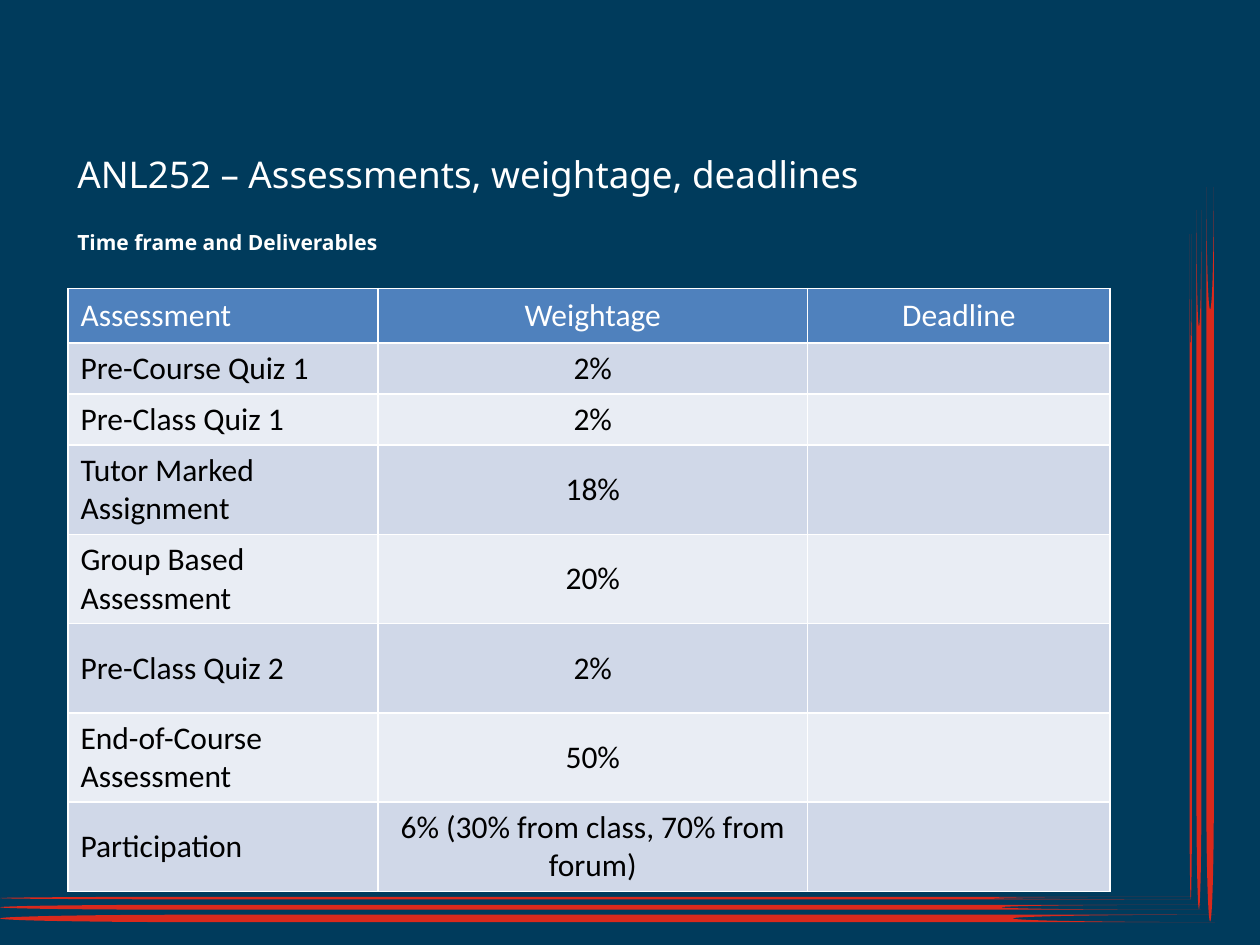
from dataclasses import dataclass

from lxml import etree
from pptx import Presentation
from pptx.dml.color import RGBColor
from pptx.enum.shapes import MSO_SHAPE
from pptx.enum.text import MSO_ANCHOR, PP_ALIGN
from pptx.oxml.ns import qn
from pptx.util import Cm, Pt

STRIPE = MSO_SHAPE.FLOWCHART_STORED_DATA
TOP, MIDDLE = MSO_ANCHOR.TOP, MSO_ANCHOR.MIDDLE
LEFT, CENTER = PP_ALIGN.LEFT, PP_ALIGN.CENTER

COLORS = {
    "navy": "003B5C", "red": "DA291C", "white": "FFFFFF", "black": "000000",
    "header": "4F81BD", "band_dark": "D0D8E8", "band_light": "E9EDF4",
}


@dataclass
class Stripe:
    left: float
    top: float
    length: float
    thickness: float
    rotation: int = 0


@dataclass
class Label:
    text: str
    top: float
    width: float
    height: float
    font: dict


STRIPES = [
    Stripe(0, 18.08, 24, 0.05),
    Stripe(0, 18.24, 24.21, 0.1),
    Stripe(0, 18.44, 24.49, 0.15),
    Stripe(17.3, 11.4, 13.41, 0.05, 270),
    Stripe(17.12, 11.23, 14.1, 0.1, 270),
    Stripe(16.99, 11.1, 14.81, 0.15, 270),
]
LABELS = [
    Label("ANL252 – Assessments, weightage, deadlines", 2.95, 17.25, 1.27,
          {"name": "Noto Sans", "size": Pt(21), "bold": False}),
    Label("Time frame and Deliverables", 4.52, 15.72, 0.64,
          {"name": "Noto Sans", "size": Pt(12), "bold": True}),
]
CONTENT_LEFT = 1.37
TABLE_TOP = 5.82
COL_WIDTHS = [6.25, 8.66, 6.1]
ROW_HEIGHTS = [1.09] + [1.03] * 2 + [1.8] * 5
ROWS = [
    ("Assessment", "Weightage", "Deadline"),
    ("Pre-Course Quiz 1", "2%", ""),
    ("Pre-Class Quiz 1", "2%", ""),
    ("Tutor Marked Assignment", "18%", ""),
    ("Group Based Assessment", "20%", ""),
    ("Pre-Class Quiz 2", "2%", ""),
    ("End-of-Course Assessment", "50%", ""),
    ("Participation", "6% (30% from class, 70% from forum)", ""),
]
CELL_FONT = {"name": "Calibri", "size": Pt(18), "bold": False}


def rgb(name: str) -> RGBColor:
    return RGBColor.from_string(COLORS[name])


def write(p, text: str, font: dict, color: str, align=LEFT) -> None:
    p.alignment = align
    r = p.add_run()
    r.text = text
    for key, value in font.items():
        setattr(r.font, key, value)
    r.font.color.rgb = rgb(color)


def draw_stripe(s, stripe: Stripe) -> None:
    sp = s.shapes.add_shape(STRIPE, Cm(stripe.left), Cm(stripe.top),
                            Cm(stripe.length), Cm(stripe.thickness))
    sp.rotation = stripe.rotation
    sp.shadow.inherit = False
    sp.fill.solid()
    sp.fill.fore_color.rgb = rgb("red")
    sp.line.fill.background()


def draw_label(s, label: Label) -> None:
    sp = s.shapes.add_textbox(Cm(CONTENT_LEFT), Cm(label.top),
                              Cm(label.width), Cm(label.height))
    tf = sp.text_frame
    frame = {"word_wrap": True, "vertical_anchor": TOP,
             "margin_left": Cm(0.19), "margin_right": Cm(0.19),
             "margin_top": Cm(0.1), "margin_bottom": Cm(0.1)}
    for key, value in frame.items():
        setattr(tf, key, value)
    write(tf.paragraphs[0], label.text, label.font, "white")


def add_borders(cell, color: str, width: int) -> None:
    tc_pr = cell._tc.get_or_add_tcPr()
    for i, side in enumerate(("lnL", "lnR", "lnT", "lnB")):
        ln = etree.Element(qn(f"a:{side}"), w=str(width))
        fill = etree.SubElement(ln, qn("a:solidFill"))
        etree.SubElement(fill, qn("a:srgbClr"), val=COLORS[color])
        tc_pr.insert(i, ln)


def draw_table(s) -> None:
    table = s.shapes.add_table(
        len(ROWS), len(COL_WIDTHS), Cm(CONTENT_LEFT), Cm(TABLE_TOP),
        Cm(sum(COL_WIDTHS)), Cm(sum(ROW_HEIGHTS))).table
    for col, width in zip(table.columns, COL_WIDTHS):
        col.width = Cm(width)
    for row, height in zip(table.rows, ROW_HEIGHTS):
        row.height = Cm(height)
    for i, texts in enumerate(ROWS):
        band = "header" if i == 0 else "band_dark" if i % 2 else "band_light"
        for j, text in enumerate(texts):
            cell = table.cell(i, j)
            cell.vertical_anchor = MIDDLE
            cell.fill.solid()
            cell.fill.fore_color.rgb = rgb(band)
            add_borders(cell, "white", Pt(1))
            if text:
                write(cell.text_frame.paragraphs[0], text, CELL_FONT,
                      "black" if i else "white", CENTER if j else LEFT)


def main() -> None:
    prs = Presentation()
    prs.slide_width, prs.slide_height = Cm(25.4), Cm(19.05)
    s = prs.slides.add_slide(prs.slide_layouts[6])

    # Background and red corner stripes
    s.background.fill.solid()
    s.background.fill.fore_color.rgb = rgb("navy")
    for stripe in STRIPES:
        draw_stripe(s, stripe)

    # Headings
    for label in LABELS:
        draw_label(s, label)

    # Assessment table
    draw_table(s)
    prs.save("out.pptx")


if __name__ == "__main__":
    main()
